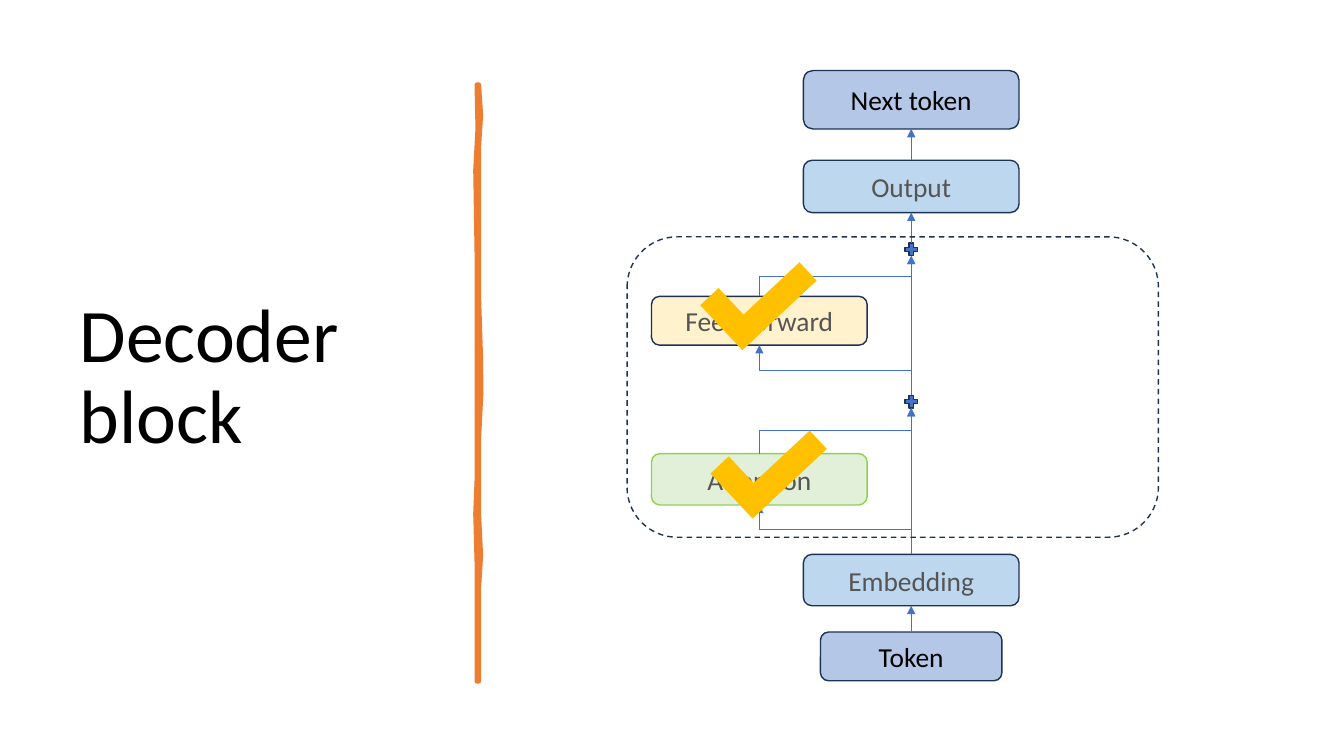
from dataclasses import dataclass

from lxml.etree import SubElement
from pptx import Presentation
from pptx.dml.color import RGBColor
from pptx.enum.dml import MSO_LINE
from pptx.enum.shapes import MSO_CONNECTOR, MSO_SHAPE
from pptx.enum.text import MSO_ANCHOR, MSO_AUTO_SIZE, PP_ALIGN
from pptx.oxml.ns import qn
from pptx.util import Inches, Pt


@dataclass(frozen=True)
class Theme:
    font: str = "Calibri"
    title_size: float = 54
    label_size: float = 19.6
    black: str = "000000"
    grey: str = "555555"
    navy: str = "1E3256"
    blue: str = "4472C4"
    token: str = "B4C7E7"
    layer: str = "BDD7EE"
    attention: str = "E2F0D9"
    attention_edge: str = "92D050"
    feed: str = "FFF2CC"
    orange: str = "ED7D31"
    gold: str = "FFC000"


T = Theme()

# All lengths are percentages of the slide's width (x) or height (y).
MAIN, BRANCH = 67.8, 56.5
WIDE, NARROW = 16.05, 13.5
TITLE = ("Decoder block", (5.18, 9.33, 28.06, 81.47))
# label: centre x, top, width, height, fill, edge, text colour
BOXES = {
    "Token": (MAIN, 83.6, NARROW, 6.45, T.token, T.navy, T.black),
    "Embedding": (MAIN, 73.33, WIDE, 6.8, T.layer, T.navy, T.grey),
    "Attention": (BRANCH, 60, WIDE, 6.8, T.attention, T.attention_edge, T.grey),
    "Feed forward": (BRANCH, 39.2, WIDE, 6.45, T.feed, T.navy, T.grey),
    "Output": (MAIN, 21.2, WIDE, 6.93, T.layer, T.navy, T.grey),
    "Next token": (MAIN, 9.33, WIDE, 7.73, T.token, T.navy, T.black),
}
PLUS_SIZE, PLUS_REACH = (1.28, 2.27), 0.85
SUMS = {"attention sum": 53.13, "feed sum": 33}
STRAIGHT = [("Token", "Embedding"), ("Embedding", "attention sum"),
            ("attention sum", "feed sum"), ("feed sum", "Output"),
            ("Output", "Next token")]
BENT = [("Embedding", "Attention"), ("Attention", "attention sum"),
        ("attention sum", "Feed forward"), ("Feed forward", "feed sum")]
FRAME = (46.66, 31.33, 39.53, 39.73)
CHECKS = [(56.5, 63.4), (55.74, 41.13)]
# offset x, offset y, length, thickness, rotation
CHECK_BARS = [(-1.39, 1.07, 4.58, 3.33, 226.9), (1.65, -0.67, 7.5, 3.33, 316.9)]
BRUSH_STROKE = [
    (35.63, 11.2), (35.78, 15.2), (35.63, 19.47), (35.63, 30.13),
    (35.63, 39.2), (35.78, 47.47), (35.8, 52), (35.63, 58.13),
    (35.63, 68), (35.78, 73.5), (35.63, 77.87), (35.63, 90.13),
    (35.48, 90.13), (35.48, 81.73), (35.48, 74.27), (35.38, 68),
    (35.48, 63.6), (35.48, 55.33), (35.48, 44.67), (35.48, 33.33),
    (35.38, 22.5), (35.55, 17), (35.48, 11.2),
]

prs = Presentation()
prs.slide_width, prs.slide_height = Inches(13.333), Inches(7.5)
s = prs.slides.add_slide(prs.slide_layouts[5])


def px(value):
    return round(prs.slide_width * value / 100)


def py(value):
    return round(prs.slide_height * value / 100)


def place(left, top, width, height):
    return px(left), py(top), px(width), py(height)


def rgb(value):
    return RGBColor.from_string(value)


def style(sp, fill=None, edge=None, width=1):
    sp.shadow.inherit = False
    if fill:
        sp.fill.solid()
        sp.fill.fore_color.rgb = rgb(fill)
    else:
        sp.fill.background()
    if edge:
        sp.line.color.rgb = rgb(edge)
        sp.line.width = Pt(width)
    else:
        sp.line.fill.background()
    return sp


def add_centred(kind, x, y, width, height, **look):
    box = place(x - width / 2, y - height / 2, width, height)
    return style(s.shapes.add_shape(kind, *box), **look)


def arrow(kind, x1, y1, x2, y2):
    c = s.shapes.add_connector(kind, x1, y1, x2, y2)
    c.line.color.rgb = rgb(T.blue)
    c.line.width = Pt(0.5)
    SubElement(c.line._get_or_add_ln(), qn("a:tailEnd"), type="triangle")
    SubElement(c._element.spPr, qn("a:effectLst"))
    return c


def ends(name):
    """Centre x, top and bottom of a box or sum sign, in EMU."""
    if name in SUMS:
        y = SUMS[name]
        return px(MAIN), py(y - PLUS_REACH), py(y + PLUS_REACH)
    x, top, _, height = BOXES[name][:4]
    return px(x), py(top), py(top + height)


def bent_arrow(source, target):
    """Upward elbow: a horizontal elbow turned a quarter about its centre."""
    (x1, y1, _), (x2, _, y2) = ends(source), ends(target)
    side = 1 if x2 > x1 else -1
    cx, cy = (x1 + x2) // 2, (y1 + y2) // 2
    dx, dy = side * (y1 - y2) // 2, abs(x2 - x1) // 2
    c = arrow(MSO_CONNECTOR.ELBOW, cx + dx, cy + dy, cx - dx, cy - dy)
    c._element.spPr.xfrm.set("rot", str((180 - side * 90) * 60000))


text, box = TITLE
title = s.shapes.title
title.left, title.top, title.width, title.height = place(*box)
tf = title.text_frame
tf.text, tf.word_wrap = text, True
tf.auto_size, tf.vertical_anchor = MSO_AUTO_SIZE.NONE, MSO_ANCHOR.MIDDLE
p = tf.paragraphs[0]
p.alignment, p.line_spacing = PP_ALIGN.LEFT, 0.9
p.font.name, p.font.size = T.font, Pt(T.title_size)
p.font.color.rgb = rgb(T.black)

points = [(px(x), py(y)) for x, y in BRUSH_STROKE]
outline = s.shapes.build_freeform(*points[0])
outline.add_line_segments(points[1:], close=True)
style(outline.convert_to_shape(), T.orange, T.orange, 3.25)

shapes = {}
for label, (x, top, width, height, fill, edge, colour) in BOXES.items():
    sp = add_centred(MSO_SHAPE.ROUNDED_RECTANGLE, x, top + height / 2,
                     width, height, fill=fill, edge=edge)
    shapes[label] = sp
    tf = sp.text_frame
    tf.text, tf.vertical_anchor = label, MSO_ANCHOR.MIDDLE
    p = tf.paragraphs[0]
    p.alignment, p.space_after = PP_ALIGN.CENTER, Pt(5.9)
    p.font.name, p.font.size = T.font, Pt(T.label_size)
    p.font.color.rgb = rgb(colour)

for y in SUMS.values():
    add_centred(MSO_SHAPE.MATH_PLUS, MAIN, y, *PLUS_SIZE, fill=T.blue, edge=T.navy)

for source, target in STRAIGHT:
    (x1, y1, _), (x2, _, y2) = ends(source), ends(target)
    c = arrow(MSO_CONNECTOR.STRAIGHT, x1, y1, x2, y2)
    if source in shapes:
        c.begin_connect(shapes[source], 0)
    if target in shapes:
        c.end_connect(shapes[target], 2)

for source, target in BENT:
    bent_arrow(source, target)

frame = style(s.shapes.add_shape(MSO_SHAPE.ROUNDED_RECTANGLE, *place(*FRAME)),
              edge=T.navy)
frame.line.dash_style = MSO_LINE.DASH

for x, y in CHECKS:
    for dx, dy, length, thickness, rotation in CHECK_BARS:
        bar = add_centred(MSO_SHAPE.RECTANGLE, x + dx, y + dy, length, thickness,
                          fill=T.gold)
        bar.rotation = rotation

prs.save("out.pptx")
